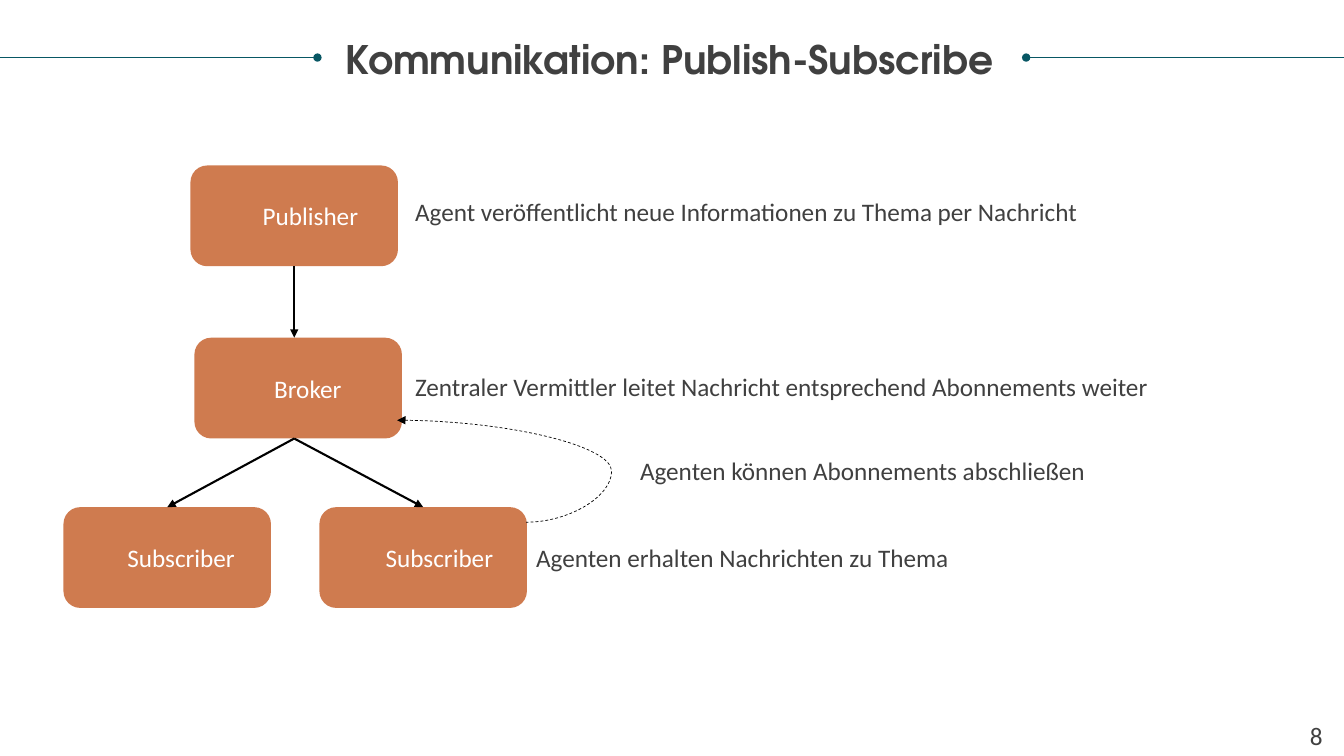
from lxml import etree
from pptx import Presentation
from pptx.dml.color import RGBColor
from pptx.enum.dml import MSO_LINE
from pptx.enum.shapes import MSO_CONNECTOR, MSO_SHAPE
from pptx.enum.text import MSO_ANCHOR, PP_ALIGN
from pptx.oxml.ns import qn
from pptx.util import Cm, Pt

STRAIGHT, CURVE = MSO_CONNECTOR.STRAIGHT, MSO_CONNECTOR.CURVE
ROUNDED = MSO_SHAPE.ROUNDED_RECTANGLE
LEFT, CENTER = PP_ALIGN.LEFT, PP_ALIGN.CENTER
TOP, MIDDLE = MSO_ANCHOR.TOP, MSO_ANCHOR.MIDDLE
DASH = MSO_LINE.DASH

ORANGE = RGBColor(0xC0, 0x4F, 0x15)
TEAL = RGBColor(0x08, 0x57, 0x64)
GREY = RGBColor(0x40, 0x40, 0x40)
WHITE = RGBColor(0xFF, 0xFF, 0xFF)
BLACK = RGBColor(0, 0, 0)

BODY = {"name": "Calibri", "size": Pt(18)}
TITLE = {"name": "TeX Gyre Adventor", "size": Pt(28), "bold": True}

PAGE_WIDTH, PAGE_HEIGHT = 33.87, 19.05
NODE_WIDTH, NODE_HEIGHT = 5.23, 2.54
RULE_Y = 1.45

# Label, left, top, left inset that shifts the label to the right
PUBLISHER = ("Publisher", 4.8, 4.17, 1.07)
BROKER = ("Broker", 4.9, 8.51, 0.74)
LEFT_SUBSCRIBER = ("Subscriber", 1.6, 12.78, 0.95)
RIGHT_SUBSCRIBER = ("Subscriber", 8.05, 12.78, 1.07)
NODES = (PUBLISHER, BROKER, LEFT_SUBSCRIBER, RIGHT_SUBSCRIBER)

# Text, left, top, width
NOTES = (
    ("Agent veröffentlicht neue Informationen zu Thema per Nachricht", 10.21, 4.83, 22.35),
    ("Zentraler Vermittler leitet Nachricht entsprechend Abonnements weiter", 10.21, 9.22, 22.35),
    ("Agenten können Abonnements abschließen", 15.88, 11.35, 16.36),
    ("Agenten erhalten Nachrichten zu Thema", 13.26, 13.54, 19.13),
)


def write(shape, text, style, color, align=LEFT, anchor=TOP):
    frame = shape.text_frame
    frame.word_wrap = True
    frame.vertical_anchor = anchor
    para = frame.paragraphs[0]
    para.alignment = align
    span = para.add_run()
    span.text = text
    for name, value in style.items():
        setattr(span.font, name, value)
    span.font.color.rgb = color
    return frame


def add_text(page, text, left, top, width, height=1.02, style=BODY, align=LEFT):
    box = page.shapes.add_textbox(Cm(left), Cm(top), Cm(width), Cm(height))
    return write(box, text, style, GREY, align)


def add_title(page, text):
    frame = add_text(page, text, 0.58, 1.02, 32.59, 2.16, TITLE, CENTER)
    for side in ("left", "top", "right", "bottom"):
        setattr(frame, f"margin_{side}", 0)
    frame.paragraphs[0].line_spacing = 0.9


def add_node(page, label, left, top, inset):
    node = page.shapes.add_shape(ROUNDED, Cm(left), Cm(top), Cm(NODE_WIDTH), Cm(NODE_HEIGHT))
    node.shadow.inherit = False
    node.line.fill.background()
    node.fill.solid()
    node.fill.fore_color.rgb = ORANGE
    color = next(node.element.spPr.iter(qn("a:srgbClr")))
    etree.SubElement(color, qn("a:alpha"), val="75000")
    frame = write(node, label, BODY, WHITE, CENTER, MIDDLE)
    frame.margin_left = Cm(inset)


def add_line(page, start, end, color, width, marker, kind=STRAIGHT, at="tailEnd"):
    points = [Cm(value) for value in (*start, *end)]
    line = page.shapes.add_connector(kind, *points)
    line.line.color.rgb = color
    line.line.width = Pt(width)
    if kind == CURVE:
        line.line.dash_style = DASH
    properties = line.element.spPr
    etree.SubElement(properties.find(qn("a:ln")), qn(f"a:{at}"), type=marker)
    etree.SubElement(properties, qn("a:effectLst"))
    return line


def add_subscription_curve(page):
    curve = add_line(page, (10.01, 10.59), (13.26, 13.16), BLACK, 0.5,
                     "triangle", CURVE, "headEnd")
    guides = next(curve.element.spPr.iter(qn("a:avLst")))
    etree.SubElement(guides, qn("a:gd"), name="adj1", fmla="val 166300")


def top_center(node):
    return node[1] + NODE_WIDTH / 2, node[2]


def main():
    deck = Presentation()
    deck.slide_width, deck.slide_height = Cm(PAGE_WIDTH), Cm(PAGE_HEIGHT)
    page = deck.slides.add_slide(deck.slide_layouts[6])

    # Title between two rules
    for outer, inner in ((0, 8), (PAGE_WIDTH, 25.86)):
        add_line(page, (outer, RULE_Y), (inner, RULE_Y), TEAL, 0.5, "oval")
    add_title(page, "Kommunikation: Publish-Subscribe")

    # Nodes
    for node in NODES:
        add_node(page, *node)

    # Message flow along the publisher's axis
    axis, publisher_top = top_center(PUBLISHER)
    broker_top = BROKER[2]
    broker_bottom = (axis, broker_top + NODE_HEIGHT)
    flows = [((axis, publisher_top + NODE_HEIGHT), (axis, broker_top))]
    flows += [(broker_bottom, top_center(node)) for node in (LEFT_SUBSCRIBER, RIGHT_SUBSCRIBER)]
    for start, end in flows:
        add_line(page, start, end, BLACK, 1.5, "triangle")
    add_subscription_curve(page)

    # Explanations and page number
    for note in NOTES:
        add_text(page, *note)
    add_text(page, "8", 32.56, 18.03, 1.22, align=CENTER)

    deck.save("out.pptx")


if __name__ == "__main__":
    main()
